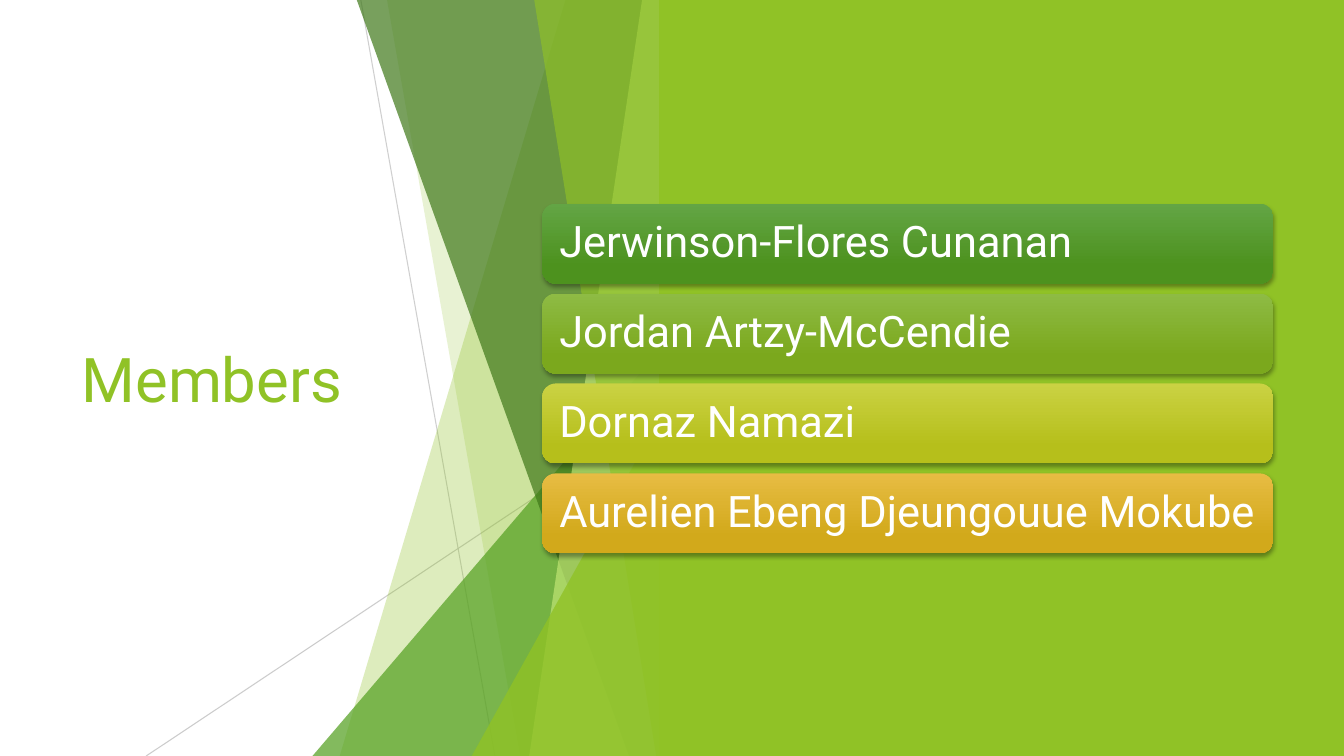
import pptx
import pptx.dml.color
import pptx.enum.shapes
import pptx.enum.text
import pptx.oxml
import pptx.oxml.ns
import pptx.util
import lxml.etree

WIDE, HIGH = pptx.util.Inches(13.33), pptx.util.Inches(7.5)
FONT = "Roboto"
HUES = {"lime": "90C226", "green": "54A021", "dark": "3F7819",
        "pale": "C0E474", "grey": "BFBFBF", "white": "FFFFFF"}
KINDS = pptx.enum.shapes.MSO_SHAPE

# Name, top and bottom colour of each bar
BARS = [("Jerwinson-Flores Cunanan", "63A545", "4D921E"),
        ("Jordan Artzy-McCendie", "8EBB44", "7BA81D"),
        ("Dornaz Namazi", "CAD243", "B6BF1B"),
        ("Aurelien Ebeng Djeungouue Mokube", "E7BC43", "D2A91B")]

# Facets, back to front, in percent of the panel:
# a fold has its left edge at top and bottom, a peak its left and top
FACETS = [("fold", 84.15, 50.55, "lime", 30),
          ("fold", 57.6, 77.4, "lime", 20),
          ("peak", 46.5, 44.4, "green", 72),
          ("fold", 53.1, 93.6, "dark", 70),
          ("fold", 95.55, 78.75, "pale", 70),
          ("fold", 79.5, 97.65, "lime", 65),
          ("peak", 70.2, 52.4, "lime", 80)]

# Thin lines: start, end, opacity
RAYS = [((53.7, 0), (73.65, 100), 75), ((100, 53.73), (21.75, 100), 80)]

SHADOW = ('<a:outerShdw xmlns:a="http://schemas.openxmlformats.org/drawingml/2006/main" '
          'blurRad="38100" dist="25400" dir="5400000" rotWithShape="0">'
          '<a:srgbClr val="000000"><a:alpha val="35000"/></a:srgbClr></a:outerShdw>')


def share(box, x, y):
    """Point at x and y percent of a box."""
    left, top, width, height = box
    return round(left + width * x / 100), round(top + height * y / 100)


def part(box, x, y, w, h):
    """Box inside a box, all in percent."""
    left, top = share(box, x, y)
    return left, top, round(box[2] * w / 100), round(box[3] * h / 100)


def tint(hue):
    return pptx.dml.color.RGBColor.from_string(hue)


def fade(shape, alpha):
    for node in shape.element.iter(pptx.oxml.ns.qn("a:srgbClr")):
        lxml.etree.SubElement(node, pptx.oxml.ns.qn("a:alpha")).set("val", str(alpha * 1000))


def paint(shape, hue):
    shape.shadow.inherit = False
    shape.fill.solid()
    shape.fill.fore_color.rgb = tint(hue)
    shape.line.fill.background()


def write(shape, text, size, hue):
    frame = shape.text_frame
    frame.word_wrap = True
    frame.vertical_anchor = pptx.enum.text.MSO_ANCHOR.MIDDLE
    line = frame.paragraphs[0]
    line.text = text
    line.alignment = pptx.enum.text.PP_ALIGN.LEFT
    line.font.size = pptx.util.Pt(size)
    line.font.name = FONT
    line.font.color.rgb = tint(hue)
    return frame, line


def add_title(slide, box):
    write(slide.shapes.add_textbox(*box), "Members", 44, HUES["lime"])


def add_facets(slide, box):
    # Thin lines behind the facets
    for start, end, alpha in RAYS:
        ray = slide.shapes.add_connector(pptx.enum.shapes.MSO_CONNECTOR.STRAIGHT,
                                         *share(box, *start), *share(box, *end))
        ray.line.color.rgb = tint(HUES["grey"])
        ray.line.width = pptx.util.Pt(0.75)
        lxml.etree.SubElement(ray.element.spPr, pptx.oxml.ns.qn("a:effectLst"))
        fade(ray, alpha)
    # Clear facets, all ending at the panel's right edge
    for kind, a, b, hue, alpha in FACETS:
        if kind == "fold":
            pen = slide.shapes.build_freeform(*share(box, a, 0))
            pen.add_line_segments([share(box, *spot) for spot in
                                   ((100, 0), (100, 100), (b, 100))], close=True)
            facet = pen.convert_to_shape()
        else:
            facet = slide.shapes.add_shape(KINDS.ISOSCELES_TRIANGLE,
                                           *part(box, a, b, 100 - a, 100 - b))
            facet.adjustments[0] = 1
        paint(facet, HUES[hue])
        fade(facet, alpha)


def add_bars(slide, box):
    thick = 0.89  # share of each step that the bar fills
    step = 100 / (len(BARS) - 1 + thick)
    for row, (name, light, deep) in enumerate(BARS):
        bar = slide.shapes.add_shape(KINDS.ROUNDED_RECTANGLE,
                                     *part(box, 0, row * step, 100, thick * step))
        bar.line.fill.background()
        bar.fill.gradient()
        bar.fill.gradient_angle = 270
        for stop, hue, spot in zip(bar.fill.gradient_stops, (light, deep), (0, 0.78)):
            stop.color.rgb = tint(hue)
            stop.position = spot
        bar.shadow.inherit = False
        glow = bar.element.spPr.find(pptx.oxml.ns.qn("a:effectLst"))
        glow.append(pptx.oxml.parse_xml(SHADOW))
        frame, line = write(bar, name, 31, HUES["white"])
        frame.margin_left = pptx.util.Inches(0.13)
        frame.margin_right = pptx.util.Inches(0.05)
        line.line_spacing = 0.9


def main():
    deck = pptx.Presentation()
    deck.slide_width, deck.slide_height = WIDE, HIGH
    slide = deck.slides.add_slide(deck.slide_layouts[6])
    page = (0, 0, WIDE, HIGH)
    add_title(slide, part(page, 5.33, 20.13, 29.1, 59.73))
    add_facets(slide, part(page, 0, 0, 50, 100))
    # Green field on the right
    field = slide.shapes.add_shape(KINDS.RECTANGLE, *part(page, 49.05, 0, 50.95, 100))
    paint(field, HUES["lime"])
    add_bars(slide, part(page, 40.35, 26.93, 54.38, 46.27))
    deck.save("out.pptx")


if __name__ == "__main__":
    main()
